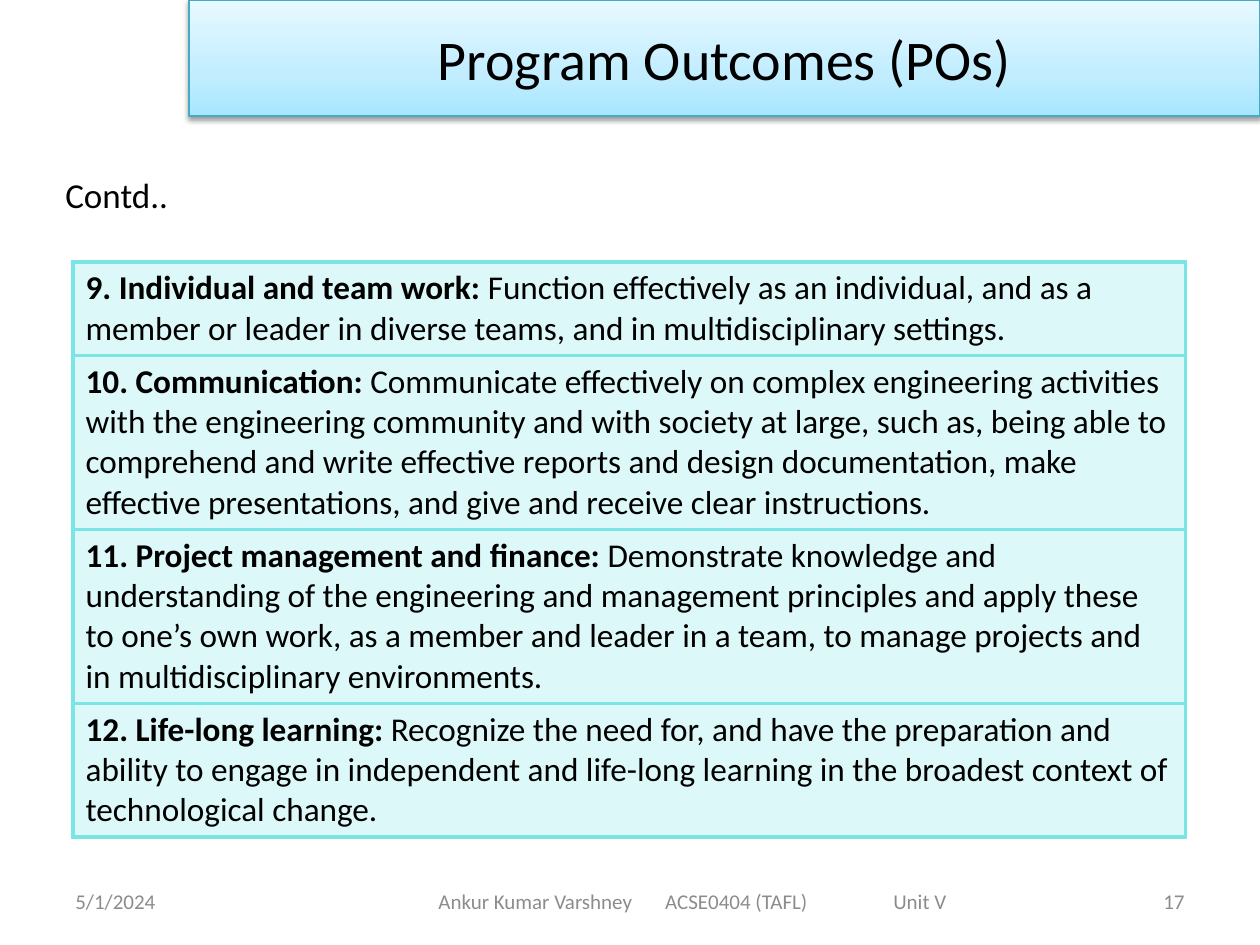
from dataclasses import dataclass

from lxml import etree
from pptx import Presentation
from pptx.dml.color import RGBColor
from pptx.enum.shapes import MSO_SHAPE
from pptx.enum.text import MSO_ANCHOR, PP_ALIGN
from pptx.oxml.ns import qn
from pptx.util import Inches, Pt

LEFT, MID, RIGHT = PP_ALIGN.LEFT, PP_ALIGN.CENTER, PP_ALIGN.RIGHT
TOP, CENTER = MSO_ANCHOR.TOP, MSO_ANCHOR.MIDDLE
RECT = MSO_SHAPE.RECTANGLE
FONT, BLACK, GRAY, AQUA = "Calibri", "000000", "8C8C8C", "7BE5E5"
LINE, PAD = 0.32, 0.1


@dataclass
class Goal:
    head: str
    body: str
    lines: int


@dataclass
class Label:
    text: str
    box: tuple[float, float, float, float]
    size: int = 12
    color: str = GRAY
    align: PP_ALIGN = LEFT
    anchor: MSO_ANCHOR = CENTER
    inset: float = 0.1
    tabs: tuple[float, ...] = ()
    wrap: bool = True


GOALS = [
    Goal("9. Individual and team work: ",
         "Function effectively as an individual, and as a member or leader in "
         "diverse teams, and in multidisciplinary settings.", 2),
    Goal("10. Communication: ",
         "Communicate effectively on complex engineering activities with the "
         "engineering community and with society at large, such as, being able "
         "to comprehend and write effective reports and design documentation, "
         "make effective presentations, and give and receive clear "
         "instructions.", 4),
    Goal("11. Project management and finance: ",
         "Demonstrate knowledge and understanding of the engineering and "
         "management principles and apply these to one’s own work, as a member "
         "and leader in a team, to manage projects and in multidisciplinary "
         "environments.", 4),
    Goal("12. Life-long learning: ",
         "Recognize the need for, and have the preparation and ability to "
         "engage in independent and life-long learning in the broadest context "
         "of technological change.", 3),
]
LABELS = [
    Label("Contd..", (0.42, 1.33, 1.02, 0.44), 20, BLACK, anchor=TOP, wrap=False),
    Label("5/1/2024", (0.5, 6.95, 2.33, 0.4)),
    Label("Ankur Kumar Varshney\tACSE0404 (TAFL)\tUnit V",
          (2.75, 6.95, 5.5, 0.4), inset=0.73, tabs=(1.8, 3.61)),
    Label("17", (7.17, 6.95, 2.33, 0.4), align=RIGHT),
]


def node(root, tag: str, **attrs):
    """Add a child element in the drawing namespace."""
    return etree.SubElement(root, qn(f"a:{tag}"), {k: str(v) for k, v in attrs.items()})


def tint(root, color: str, alpha: int = 100) -> None:
    """Add a hex colour with an opacity in percent."""
    item = node(root, "srgbClr", val=color)
    if alpha < 100:
        node(item, "alpha", val=alpha * 1000)


def write(para, text: str, *, size: int, color: str = BLACK, bold: bool = False,
          align: PP_ALIGN = LEFT) -> None:
    """Add a formatted run to a paragraph."""
    para.alignment = align
    run = para.add_run()
    run.text = text
    font = run.font
    font.name, font.size, font.bold = FONT, Pt(size), bold
    font.color.rgb = RGBColor.from_string(color)


def add_label(slide, label: Label) -> None:
    """Draw a text box with optional tab stops."""
    frame = slide.shapes.add_textbox(*map(Inches, label.box)).text_frame
    frame.word_wrap = label.wrap
    frame.vertical_anchor = label.anchor
    frame.margin_left = Inches(label.inset)
    para = frame.paragraphs[0]
    if label.tabs:
        stops = node(para._p.get_or_add_pPr(), "tabLst")
        for stop in label.tabs:
            node(stops, "tab", pos=Inches(stop), algn="l")
    write(para, label.text, size=label.size, color=label.color, align=label.align)


def add_title(slide, text: str) -> None:
    """Draw the shaded title bar."""
    bar = slide.shapes.add_shape(RECT, *map(Inches, (1.5, 0, 8.5, 0.92)))
    bar.fill.gradient()
    bar.fill.gradient_angle = 90
    stops = bar._element.spPr.find(f".//{qn('a:gsLst')}")
    stops.clear()
    for pos, color in ((0, "A7E6FF"), (35, "C1EDFF"), (100, "E7F8FF")):
        tint(node(stops, "gs", pos=pos * 1000), color)
    bar.line.color.rgb = RGBColor.from_string("46AAC5")
    bar.line.width = Pt(0.75)
    bar.shadow.inherit = False
    shade = node(bar._element.spPr.find(qn("a:effectLst")), "outerShdw",
                 blurRad=Pt(3.1), dist=Pt(1.6), dir=5400000, rotWithShape=0)
    tint(shade, BLACK, 38)
    bar.text_frame.vertical_anchor = CENTER
    write(bar.text_frame.paragraphs[0], text, size=32, align=MID)


def add_goals(slide, goals: list[Goal]) -> None:
    """Draw the table of outcomes, each row as high as its lines."""
    highs = [Inches(goal.lines * LINE + PAD) for goal in goals]
    table = slide.shapes.add_table(len(goals), 1, Inches(0.58), Inches(2.08),
                                   Inches(8.83), sum(highs)).table
    table.first_row = table.horz_banding = False
    for row, goal, high in zip(table.rows, goals, highs):
        row.height = high
        cell = row.cells[0]
        para = cell.text_frame.paragraphs[0]
        write(para, goal.head, size=19, bold=True)
        write(para, goal.body, size=19)
        props = cell._tc.get_or_add_tcPr()
        for side in "LRTB":
            tint(node(node(props, f"ln{side}", w=Pt(2.25)), "solidFill"), AQUA)
        tint(node(props, "solidFill"), AQUA, 25)


def main() -> None:
    """Build and save the slide."""
    deck = Presentation()
    deck.slide_width, deck.slide_height = Inches(10), Inches(7.5)
    slide = deck.slides.add_slide(deck.slide_layouts[6])
    add_goals(slide, GOALS)
    add_title(slide, "Program Outcomes (POs)")
    for label in LABELS:
        add_label(slide, label)
    deck.save("out.pptx")


if __name__ == "__main__":
    main()
